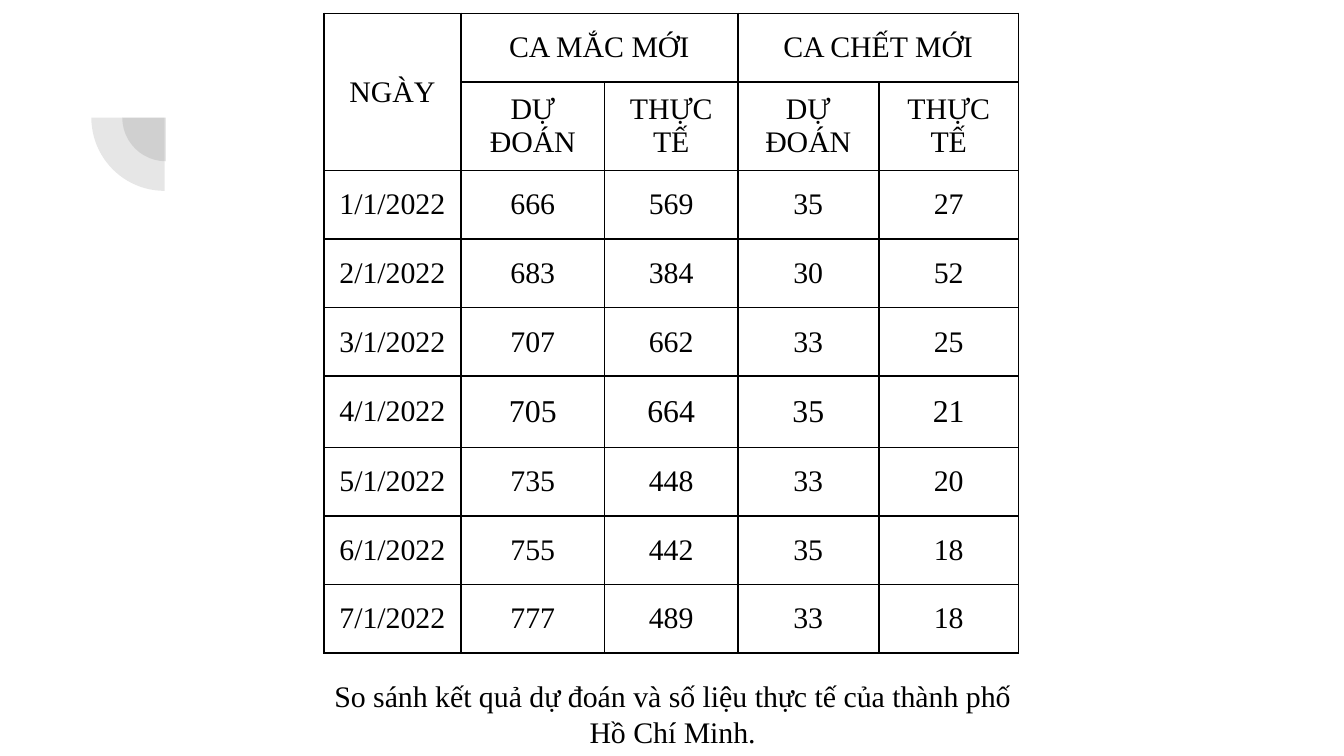
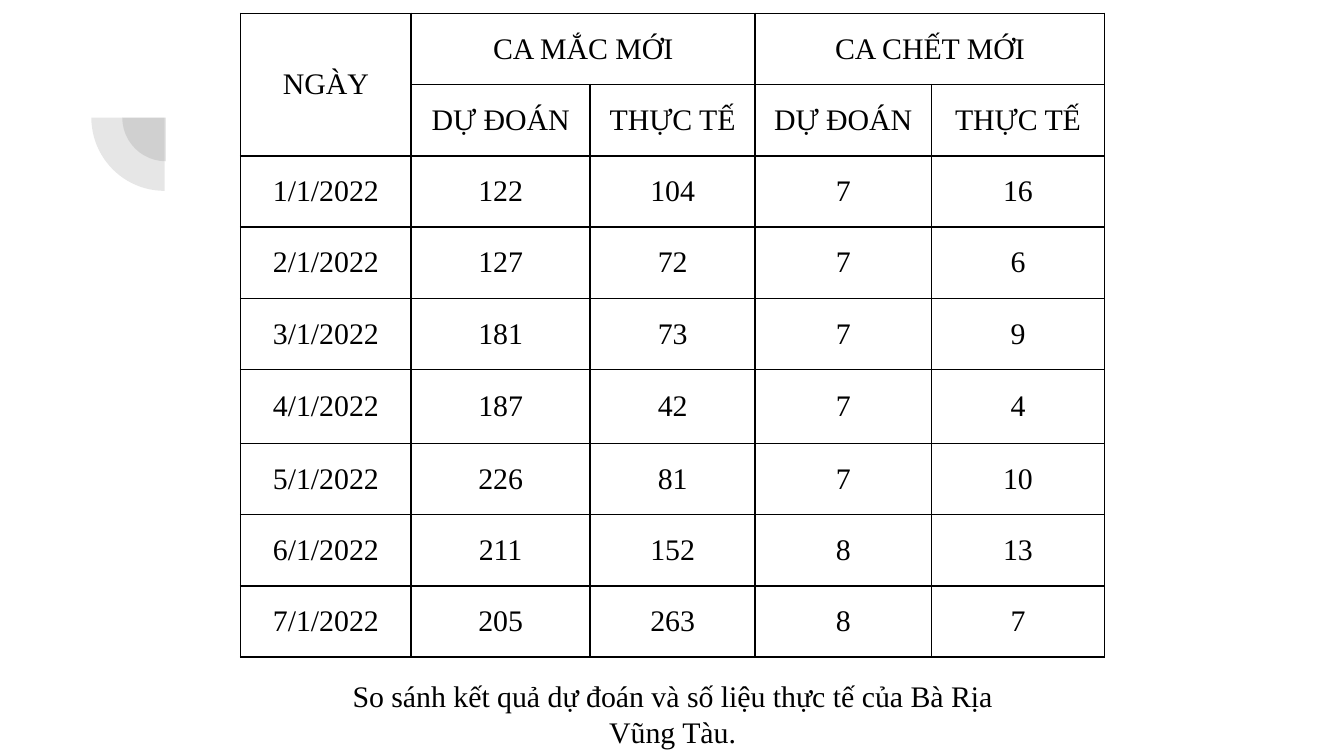
from dataclasses import dataclass

from lxml.etree import SubElement
from pptx import Presentation
from pptx.dml.color import RGBColor
from pptx.enum.shapes import MSO_SHAPE
from pptx.enum.text import MSO_ANCHOR, PP_ALIGN
from pptx.oxml.ns import qn
from pptx.slide import Slide
from pptx.table import _Cell
from pptx.text.text import TextFrame
from pptx.util import Inches, Pt


@dataclass(frozen=True)
class Theme:
    font: str = "Times New Roman"
    ink: str = "000000"
    back: str = "FFFFFF"
    pie: str = "424242"
    pie_alpha: int = 13
    size: int = 16
    large: int = 17
    border: int = 1


@dataclass(frozen=True)
class Pie:
    left: float
    top: float
    size: float


@dataclass(frozen=True)
class Report:
    caption: str
    left: float
    cols: tuple[float, ...]
    rows: tuple[float, ...]
    data: tuple[tuple[int, ...], ...]
    large_day: int = 0


THEME = Theme()
WIDTH = 10
HEIGHT = WIDTH * 9 / 16
PIES = (Pie(0.91, 0.55, 0.65), Pie(0.68, 0.33, 1.09))
HEAD = (
    ("NGÀY", "CA MẮC MỚI", "", "CA CHẾT MỚI", ""),
    ("", "DỰ ĐOÁN", "THỰC TẾ", "DỰ ĐOÁN", "THỰC TẾ"),
)
MERGES = (((0, 0), (1, 0)), ((0, 1), (0, 2)), ((0, 3), (0, 4)))
LEAD = "So sánh kết quả dự đoán và số liệu thực tế của "

REPORTS = (
    Report(
        LEAD + "thành phố Hồ Chí Minh.",
        2.41,
        (1.02, 1.07, 0.99, 1.05, 1.04),
        (0.51, 0.66, 0.51, 0.51, 0.51, 0.53, 0.51, 0.51, 0.51),
        (
            (666, 569, 35, 27),
            (683, 384, 30, 52),
            (707, 662, 33, 25),
            (705, 664, 35, 21),
            (735, 448, 33, 20),
            (755, 442, 35, 18),
            (777, 489, 33, 18),
        ),
        large_day=4,
    ),
    Report(
        LEAD + "Bà Rịa Vũng Tàu.",
        1.79,
        (1.27, 1.33, 1.23, 1.31, 1.29),
        (0.53, 0.53, 0.53, 0.53, 0.53, 0.55, 0.53, 0.53, 0.53),
        (
            (122, 104, 7, 16),
            (127, 72, 7, 6),
            (181, 73, 7, 9),
            (187, 42, 7, 4),
            (226, 81, 7, 10),
            (211, 152, 8, 13),
            (205, 263, 8, 7),
        ),
    ),
)


def write(frame: TextFrame, text: str, size: int = THEME.size) -> None:
    para = frame.paragraphs[0]
    para.alignment = PP_ALIGN.CENTER
    run = para.add_run()
    run.text = text
    run.font.name = THEME.font
    run.font.size = Pt(size)
    run.font.color.rgb = RGBColor.from_string(THEME.ink)


def add_pie(slide: Slide, pie: Pie) -> None:
    """Add a see-through quarter disc, turned to the lower left."""
    side = Inches(pie.size)
    shape = slide.shapes.add_shape(
        MSO_SHAPE.PIE, Inches(pie.left), Inches(pie.top), side, side
    )
    shape.adjustments[0] = 108
    shape.adjustments[1] = 162
    shape.rotation = 270
    shape.shadow.inherit = False
    shape.line.fill.background()
    shape.fill.solid()
    shape.fill.fore_color.rgb = RGBColor.from_string(THEME.pie)
    color = shape.fill._xPr.find(qn("a:solidFill"))[0]
    SubElement(color, qn("a:alpha"), val=str(THEME.pie_alpha * 1000))


def style_cell(cell: _Cell) -> None:
    """Give a cell its borders, insets and empty fill."""
    props = cell._tc.get_or_add_tcPr()
    for edge in ("lnL", "lnR", "lnT", "lnB"):
        line = SubElement(props, qn(f"a:{edge}"), w=str(Pt(THEME.border)))
        fill = SubElement(line, qn("a:solidFill"))
        SubElement(fill, qn("a:srgbClr"), val=THEME.ink)
    cell.fill.background()
    cell.vertical_anchor = MSO_ANCHOR.MIDDLE
    cell.margin_left = cell.margin_right = Inches(0.07)
    cell.margin_top = cell.margin_bottom = Inches(0.07)


def add_cases(slide: Slide, report: Report) -> None:
    """Add the table of forecast and actual cases by day."""
    days = tuple(
        (f"{day}/1/2022", *map(str, counts))
        for day, counts in enumerate(report.data, 1)
    )
    table = slide.shapes.add_table(
        len(report.rows), len(report.cols), Inches(report.left), Inches(0.1),
        Inches(sum(report.cols)), Inches(sum(report.rows)),
    ).table
    table.first_row = table.horz_banding = False
    for col, width in zip(table.columns, report.cols):
        col.width = Inches(width)
    for row, height in zip(table.rows, report.rows):
        row.height = Inches(height)
    for start, end in MERGES:
        table.cell(*start).merge(table.cell(*end))
    for r, texts in enumerate(HEAD + days):
        for c, text in enumerate(texts):
            cell = table.cell(r, c)
            style_cell(cell)
            large = c > 0 and r >= len(HEAD) and r - 1 == report.large_day
            if text:
                write(cell.text_frame, text, THEME.large if large else THEME.size)


def add_caption(slide: Slide, text: str) -> None:
    box = slide.shapes.add_textbox(
        Inches(2.35), Inches(4.94), Inches(5.31), Inches(0.45)
    )
    frame = box.text_frame
    frame.word_wrap = True
    frame.margin_left = frame.margin_right = Inches(0.1)
    frame.margin_top = frame.margin_bottom = Inches(0.1)
    write(frame, text)
    para = frame.paragraphs[0]
    para.line_spacing = 1.0
    para.space_after = Pt(6)


def main() -> None:
    deck = Presentation()
    deck.slide_width, deck.slide_height = Inches(WIDTH), Inches(HEIGHT)
    for report in REPORTS:
        slide = deck.slides.add_slide(deck.slide_layouts[6])
        slide.background.fill.solid()
        slide.background.fill.fore_color.rgb = RGBColor.from_string(THEME.back)
        for pie in PIES:
            add_pie(slide, pie)
        add_cases(slide, report)
        add_caption(slide, report.caption)
    deck.save("out.pptx")


if __name__ == "__main__":
    main()
